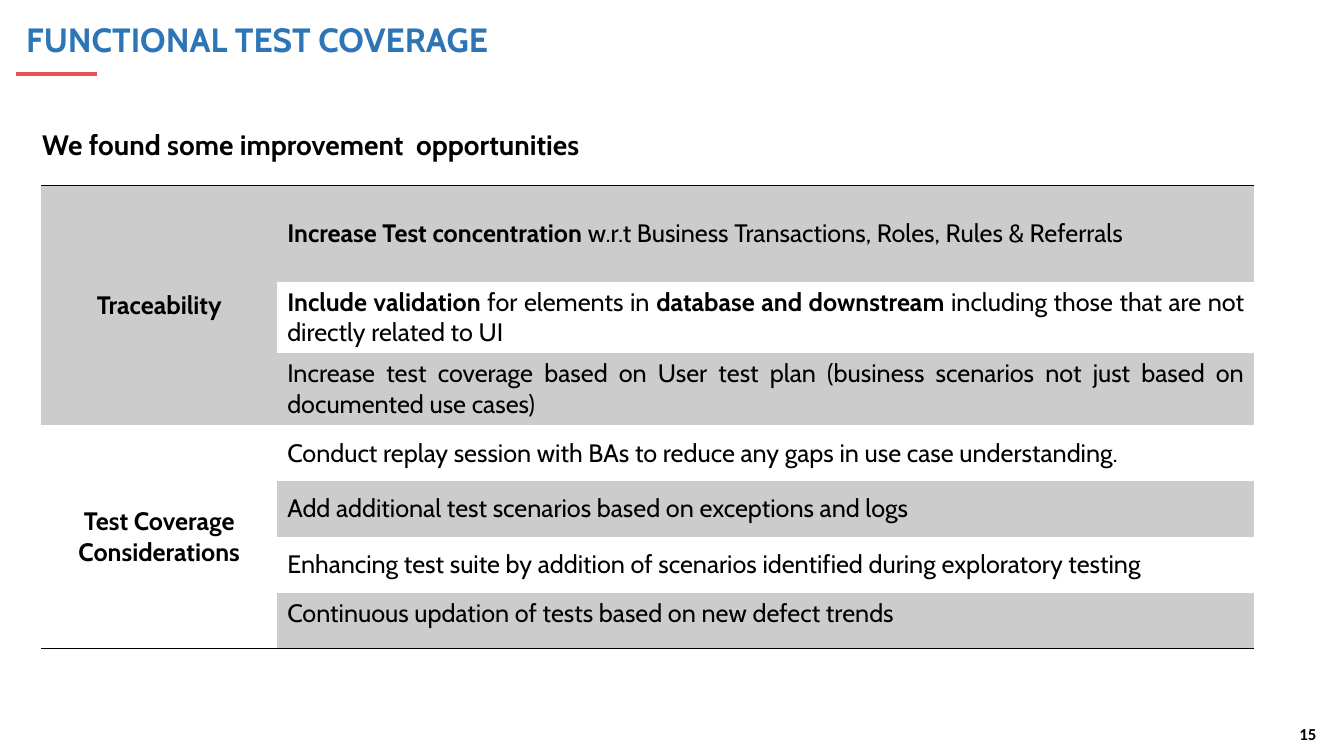
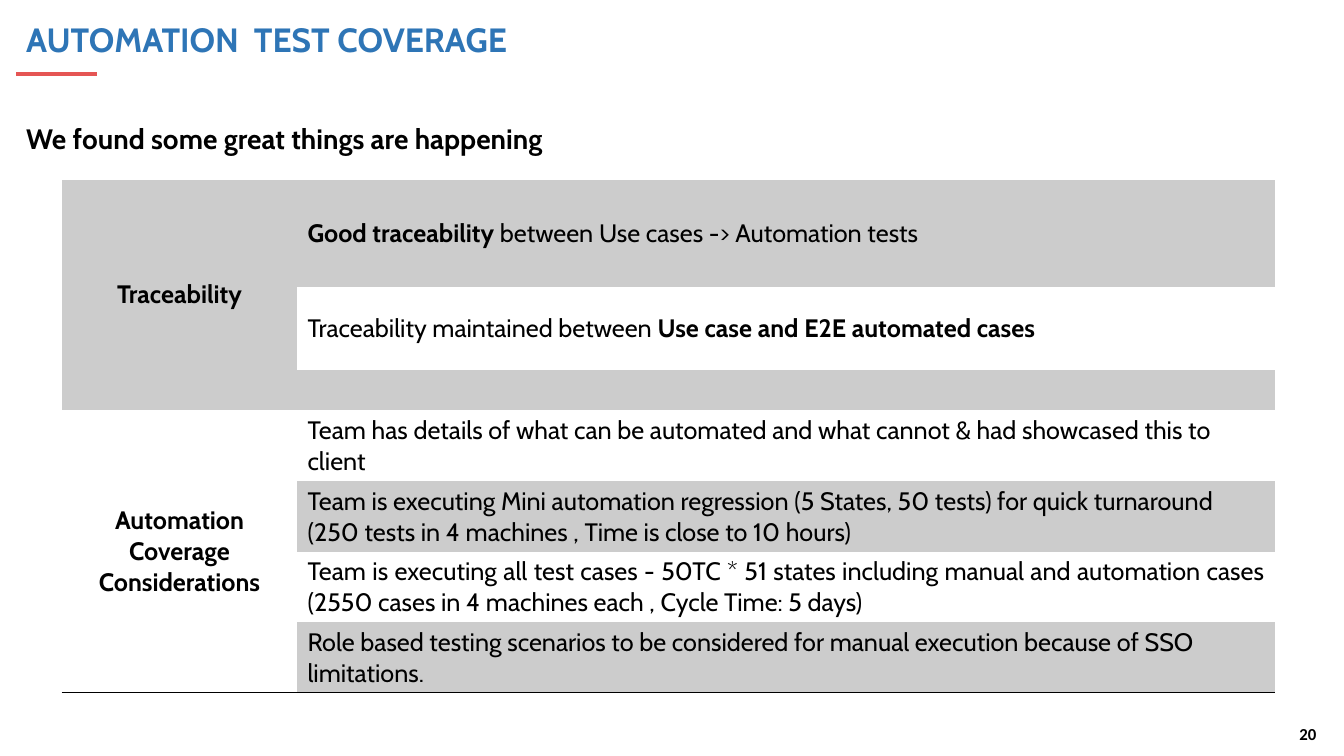
from dataclasses import dataclass

import pptx
import pptx.dml.color
import pptx.enum.shapes
import pptx.enum.text
import pptx.oxml
import pptx.oxml.ns
import pptx.presentation
import pptx.slide
import pptx.table
import pptx.text.text
import pptx.util

Pt = pptx.util.Pt
RGBColor = pptx.dml.color.RGBColor
ALIGN = pptx.enum.text.PP_ALIGN
ANCHOR = pptx.enum.text.MSO_ANCHOR

BLACK = RGBColor(0x00, 0x00, 0x00)
BLUE = RGBColor(0x2E, 0x75, 0xB6)
RED = RGBColor(0xE5, 0x55, 0x54)
GREY = RGBColor(0xCC, 0xCC, 0xCC)

FONT = "Cabin"
NUMBER_FONT = "Calibri"
LABEL_WIDTH, FINDING_WIDTH = 168.5, 698
NO_STYLE = "{2D5ABB26-0587-4C30-8999-92F81FD0307C}"


@dataclass(frozen=True)
class Finding:
    text: str
    height: float
    align: ALIGN = ALIGN.LEFT
    anchor: ANCHOR = ANCHOR.MIDDLE


@dataclass(frozen=True)
class Group:
    label: str
    findings: list[Finding]


@dataclass(frozen=True)
class Page:
    title: str
    number: str
    heading: str
    heading_at: tuple[float, float]
    table_at: tuple[float, float]
    top_rule: bool
    groups: list[Group]


PAGES = [
    Page(
        "FUNCTIONAL TEST COVERAGE", "15", "We found some improvement  opportunities",
        (23, 87.5), (29.5, 132.5), True,
        [
            Group("Traceability", [
                Finding("|Increase Test concentration| w.r.t Business Transactions, "
                        "Roles, Rules & Referrals", 68.6, ALIGN.JUSTIFY),
                Finding("|Include validation| for elements in |database and downstream| "
                        "including those that are not directly related to UI",
                        51.3, ALIGN.JUSTIFY),
                Finding("Increase test coverage based on User test plan (business "
                        "scenarios not just based on documented use cases)",
                        51.3, ALIGN.JUSTIFY),
            ]),
            Group("Test Coverage Considerations", [
                Finding("Conduct replay session with BAs to reduce any gaps in use case "
                        "understanding.", 39.9, ALIGN.JUSTIFY),
                Finding("Add additional test scenarios based on exceptions and logs", 39.9),
                Finding("Enhancing test suite by addition of scenarios identified during "
                        "exploratory testing", 39.9, ALIGN.JUSTIFY),
                Finding("Continuous updation of tests based on new defect trends",
                        39.9, ALIGN.JUSTIFY, ANCHOR.TOP),
            ]),
        ],
    ),
    Page(
        "AUTOMATION  TEST COVERAGE", "20", "We found some great things are happening",
        (11.5, 83.5), (44, 128.3), False,
        [
            Group("Traceability", [
                Finding("|Good traceability| between Use cases -> Automation tests", 77),
                Finding("Traceability maintained between "
                        "|Use case and E2E automated cases|", 59),
                Finding("", 28.8),
            ]),
            Group("Automation Coverage Considerations", [
                Finding("Team has details of what can be automated and what cannot & had "
                        "showcased this to client", 50.4, anchor=ANCHOR.TOP),
                Finding("Team is executing Mini automation regression (5 States, 50 tests) "
                        "for quick turnaround (250 tests in 4 machines , Time is close to "
                        "10 hours)", 50.4),
                Finding("Team is executing all test cases - 50TC * 51 states including "
                        "manual and automation cases (2550 cases in 4 machines each , "
                        "Cycle Time: 5 days)", 50.4, ALIGN.JUSTIFY),
                Finding("Role based testing scenarios to be considered for manual "
                        "execution because of SSO limitations.", 50.4, anchor=ANCHOR.TOP),
            ]),
        ],
    ),
]


def style(p: pptx.text.text._Paragraph, size: float, bold: bool | None = True,
          color: RGBColor = BLACK, name: str = FONT) -> None:
    p.font.size = Pt(size)
    p.font.bold = bold
    p.font.name = name
    p.font.color.rgb = color


def add_text(s: pptx.slide.Slide, text: str, left: float, top: float, width: float,
             height: float, size: float, name: str = FONT) -> None:
    tf = s.shapes.add_textbox(Pt(left), Pt(top), Pt(width), Pt(height)).text_frame
    tf.word_wrap = True
    tf.text = text
    style(tf.paragraphs[0], size, name=name)


def add_frame(s: pptx.slide.Slide, page: Page) -> None:
    title = s.shapes.title
    title.left, title.top, title.width, title.height = Pt(11.5), Pt(6.5), Pt(778), Pt(47)
    tf = title.text_frame
    tf.auto_size = pptx.enum.text.MSO_AUTO_SIZE.NONE
    tf.vertical_anchor = ANCHOR.MIDDLE
    tf.text = page.title
    p = tf.paragraphs[0]
    p.alignment = ALIGN.LEFT
    p.line_spacing = 0.9
    style(p, 24, color=BLUE)

    rule = s.shapes.add_connector(pptx.enum.shapes.MSO_CONNECTOR.STRAIGHT,
                                  Pt(11.5), Pt(52.7), Pt(69.3), Pt(52.7))
    rule.line.color.rgb = RED
    rule.line.width = Pt(3)
    rule._element.spPr.append(pptx.oxml.parse_xml(
        f"<a:effectLst {pptx.oxml.ns.nsdecls('a')}/>"))

    add_text(s, page.number, 921, 513.5, 32.5, 21.5, 12, NUMBER_FONT)
    add_text(s, page.heading, *page.heading_at, 561, 31.5, 20)


def add_border(cell: pptx.table._Cell, tag: str) -> None:
    cell._tc.get_or_add_tcPr().insert(0, pptx.oxml.parse_xml(
        f'<a:{tag} {pptx.oxml.ns.nsdecls("a")} w="{Pt(1)}"><a:solidFill>'
        f'<a:srgbClr val="{BLACK}"/></a:solidFill></a:{tag}>'))


def fill_cell(cell: pptx.table._Cell, text: str, align: ALIGN, anchor: ANCHOR,
              shaded: bool) -> None:
    cell.vertical_anchor = anchor
    if shaded:
        cell.fill.solid()
        cell.fill.fore_color.rgb = GREY
    else:
        cell.fill.background()
    p = cell.text_frame.paragraphs[0]
    p.alignment = align
    style(p, 18, bold=None)
    for i, part in enumerate(text.split("|")):
        if part:
            r = p.add_run()
            r.text = part
            r.font.bold = i % 2 == 1


def add_findings(s: pptx.slide.Slide, page: Page) -> None:
    heights = [f.height for g in page.groups for f in g.findings]
    left, top = page.table_at
    table = s.shapes.add_table(len(heights), 2, Pt(left), Pt(top),
                               Pt(LABEL_WIDTH + FINDING_WIDTH), Pt(sum(heights))).table
    table.first_row = table.horz_banding = False
    table._tbl.tblPr.find(pptx.oxml.ns.qn("a:tableStyleId")).text = NO_STYLE
    for column, width in zip(table.columns, (LABEL_WIDTH, FINDING_WIDTH)):
        column.width = Pt(width)
    for row, height in zip(table.rows, heights):
        row.height = Pt(height)

    start = 0
    for g, group in enumerate(page.groups):
        end = start + len(group.findings) - 1
        label = table.cell(start, 0)
        label.merge(table.cell(end, 0))
        fill_cell(label, f"|{group.label}|", ALIGN.CENTER, ANCHOR.MIDDLE, g % 2 == 0)
        for i, f in enumerate(group.findings, start):
            fill_cell(table.cell(i, 1), f.text, f.align, f.anchor, i % 2 == 0)
        start = end + 1

    if page.top_rule:
        for column in range(2):
            add_border(table.cell(0, column), "lnT")
    last = len(heights) - 1
    for cell in (label, table.cell(last, 0), table.cell(last, 1)):
        add_border(cell, "lnB")


def add_page(prs: pptx.presentation.Presentation, page: Page) -> None:
    s = prs.slides.add_slide(prs.slide_layouts.get_by_name("Title Only"))
    add_frame(s, page)
    add_findings(s, page)


def main() -> None:
    prs = pptx.Presentation()
    prs.slide_width, prs.slide_height = Pt(960), Pt(540)
    for page in PAGES:
        add_page(prs, page)
    prs.save("out.pptx")


if __name__ == "__main__":
    main()
